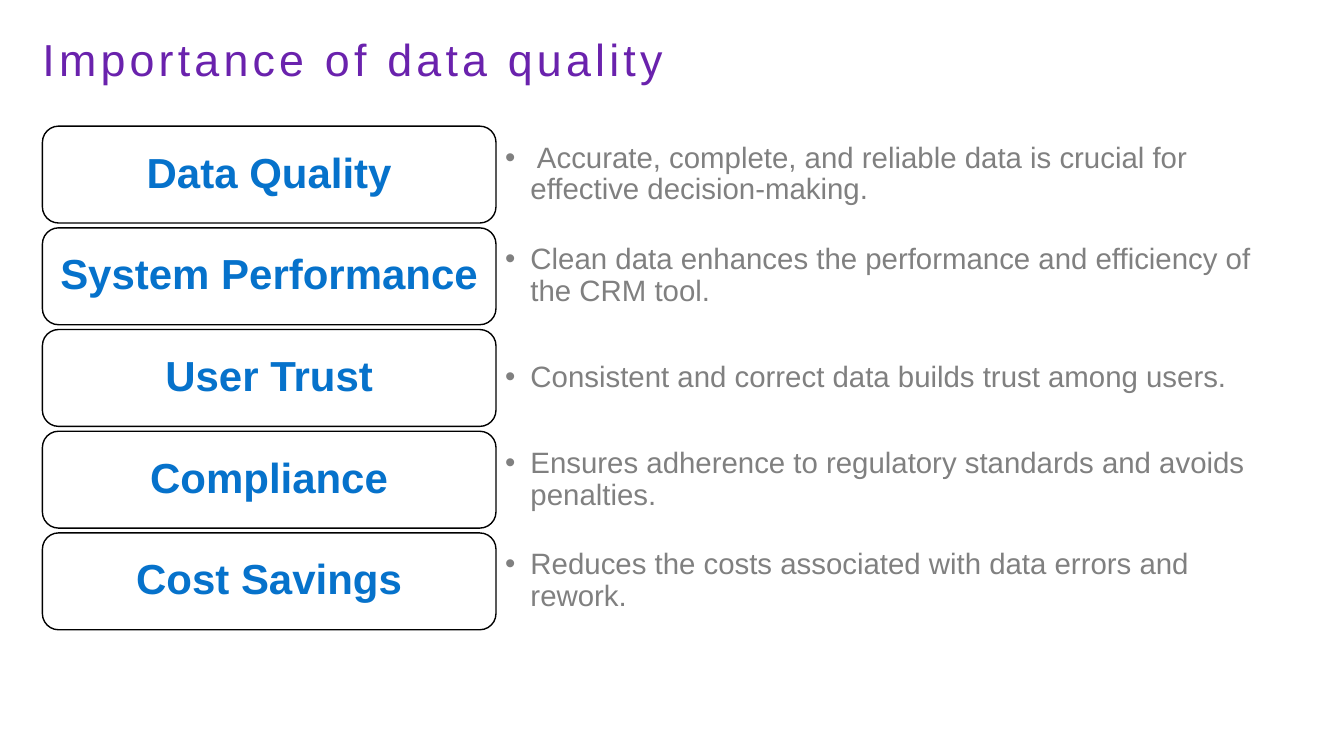
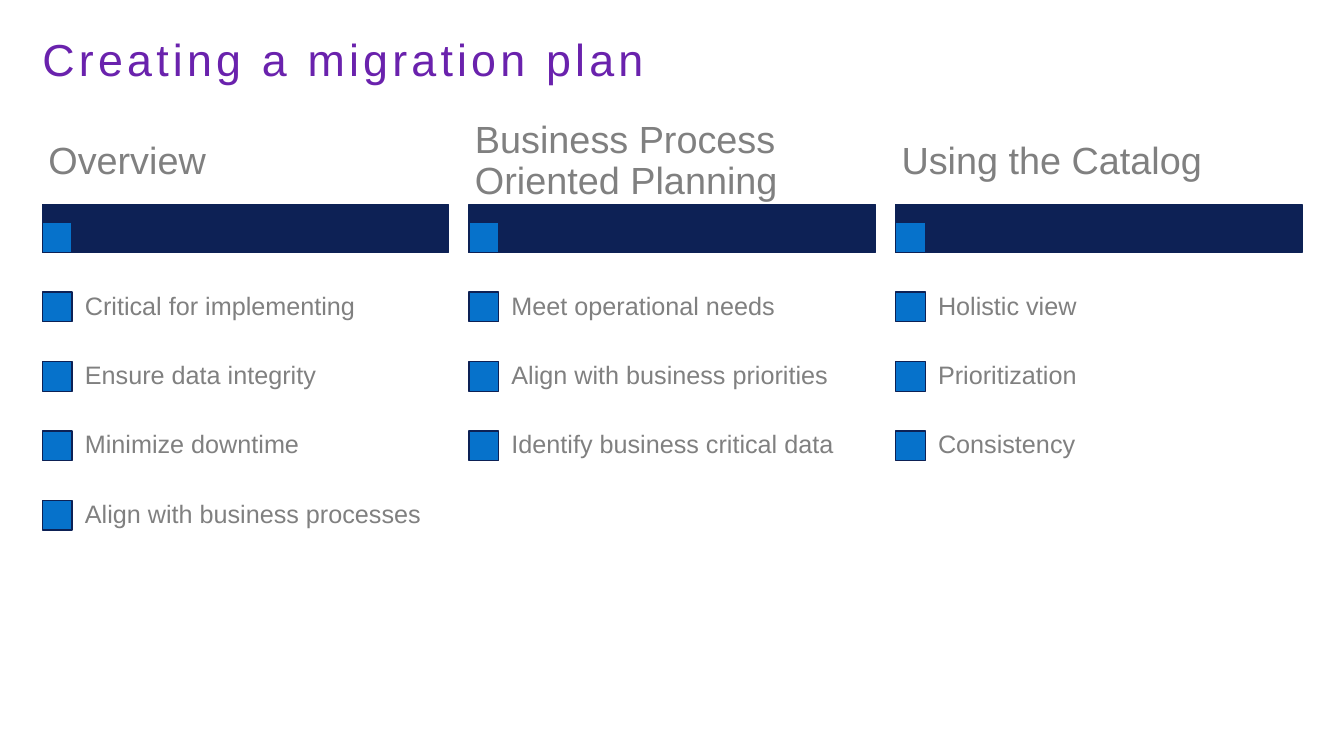
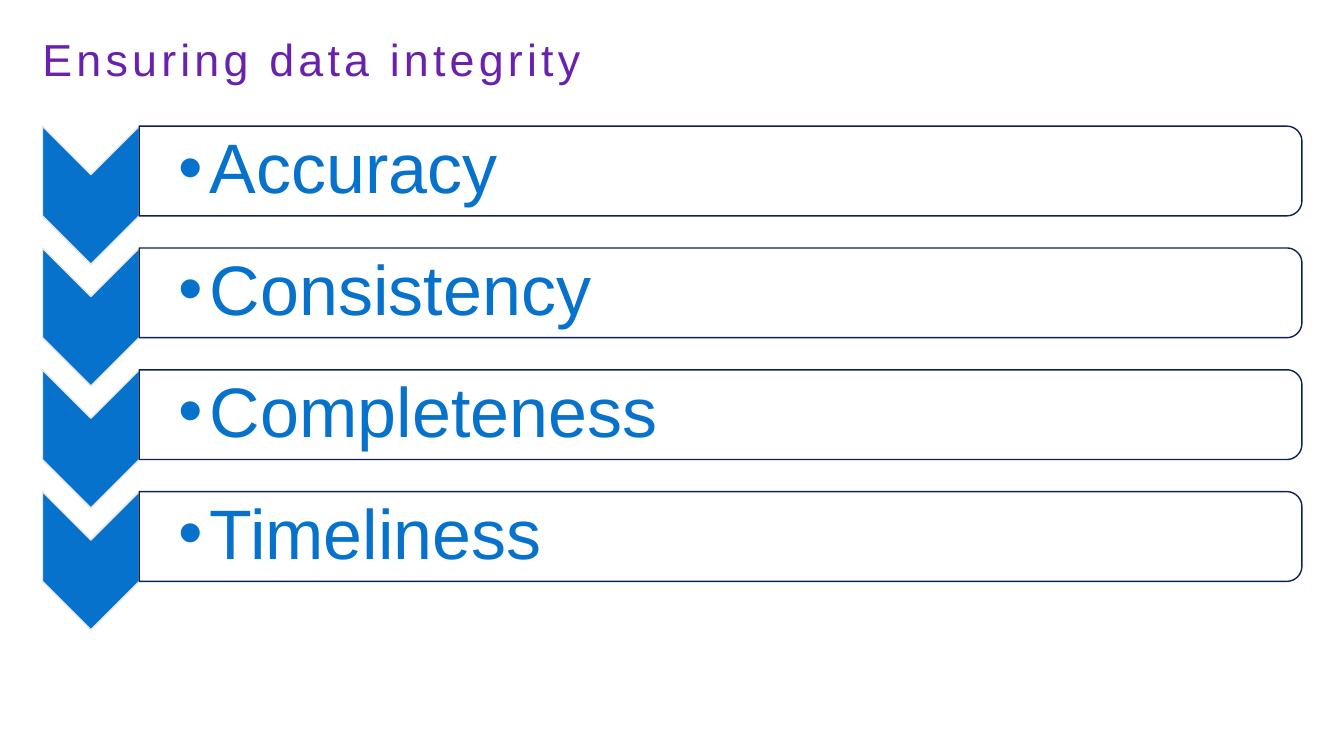
from dataclasses import dataclass
from math import cos, pi, sin

from lxml import etree
from pptx import Presentation
from pptx.dml.color import RGBColor
from pptx.enum.shapes import MSO_SHAPE
from pptx.enum.text import MSO_ANCHOR, PP_ALIGN
from pptx.oxml.ns import qn
from pptx.util import Cm, Pt

RECTANGLE = MSO_SHAPE.RECTANGLE
ROUNDED = MSO_SHAPE.ROUNDED_RECTANGLE
CHEVRON = MSO_SHAPE.CHEVRON
TOP, MIDDLE = MSO_ANCHOR.TOP, MSO_ANCHOR.MIDDLE
LEFT, CENTER = PP_ALIGN.LEFT, PP_ALIGN.CENTER

QUALITY_TITLE = "Importance of data quality"
QUALITY_REASONS = [
    ("Data Quality", " Accurate, complete, and reliable data is crucial for effective decision-making."),
    ("System Performance", "Clean data enhances the performance and efficiency of the CRM tool."),
    ("User Trust", "Consistent and correct data builds trust among users."),
    ("Compliance", "Ensures adherence to regulatory standards and avoids penalties."),
    ("Cost Savings", "Reduces the costs associated with data errors and rework."),
]

PLAN_TITLE = "Creating a migration plan"
PLAN_COLUMNS = [
    ("Overview", ["Critical for implementing", "Ensure data integrity",
                  "Minimize downtime", "Align with business processes"]),
    ("Business Process Oriented Planning", ["Meet operational needs", "Align with business priorities",
                                            "Identify business critical data"]),
    ("Using the Catalog", ["Holistic view", "Prioritization", "Consistency"]),
]

INTEGRITY_TITLE = "Ensuring data integrity"
INTEGRITY_GOALS = ["Accuracy", "Consistency", "Completeness", "Timeliness"]


@dataclass(frozen=True)
class Theme:
    font: str = "Arial"
    purple: str = "6A22AD"
    blue: str = "0672CB"
    navy: str = "0D2155"
    gray: str = "808080"
    pale: str = "E7E7E7"
    white: str = "FFFFFF"
    black: str = "000000"
    title_size: float = 32
    pill_size: float = 30
    detail_size: float = 21
    heading_size: float = 27
    item_size: float = 18
    goal_size: float = 50


THEME = Theme()
MARGIN, CONTENT_WIDTH = 1.07, 31.74
BODY_TOP, BODY_HEIGHT = 3.18, 12.69


def spread(start, length, size, count):
    pitch = (length - size) / (count - 1)
    return [start + index * pitch for index in range(count)]


def write(shape, text, *, size, color, bold=False, align=LEFT, anchor=MIDDLE,
          insets=(0, 0, 0, 0), bullet_indent=0, tracking=0):
    frame = shape.text_frame
    frame.word_wrap = True
    frame.vertical_anchor = anchor
    (frame.margin_left, frame.margin_top,
     frame.margin_right, frame.margin_bottom) = map(Cm, insets)
    para = frame.paragraphs[0]
    para.alignment = align
    para.line_spacing = 0.9
    if bullet_indent:
        properties = para._p.get_or_add_pPr()
        properties.set("marL", str(Cm(bullet_indent)))
        properties.set("indent", str(-Cm(bullet_indent)))
        etree.SubElement(properties, qn("a:buFont")).set("typeface", THEME.font)
        etree.SubElement(properties, qn("a:buChar")).set("char", "•")
    span = para.add_run()
    span.text = text
    span.font.name = THEME.font
    span.font.size = Pt(size)
    span.font.bold = bold
    span.font.color.rgb = RGBColor.from_string(color)
    if tracking:
        span._r.get_or_add_rPr().set("spc", str(tracking * 100))


def add_label(slide, area, text, **style):
    label = slide.shapes.add_shape(RECTANGLE, *map(Cm, area))
    label.shadow.inherit = False
    label.fill.background()
    label.line.fill.background()
    write(label, text, **style)


def paint(shape, fill, line):
    shape.shadow.inherit = False
    shape.fill.solid()
    shape.fill.fore_color.rgb = RGBColor.from_string(fill)
    shape.line.color.rgb = RGBColor.from_string(line)
    shape.line.width = Pt(1)
    return shape


def add_block(slide, kind, area, fill, line):
    return paint(slide.shapes.add_shape(kind, *map(Cm, area)), fill, line)


def add_right_rounded(slide, area, radius, fill, line):
    left, top, width, height = area
    right, bottom = left + width, top + height
    steps = 12
    points = [(left, top)]
    for center_y, start in ((top + radius, -pi / 2), (bottom - radius, 0)):
        for step in range(steps + 1):
            angle = start + step * pi / 2 / steps
            points.append((right - radius + radius * cos(angle), center_y + radius * sin(angle)))
    points.append((left, bottom))
    corners = [(Cm(x), Cm(y)) for x, y in points]
    builder = slide.shapes.build_freeform(*corners[0])
    builder.add_line_segments(corners[1:], close=True)
    return paint(builder.convert_to_shape(), fill, line)


def add_titled_slide(deck, title):
    slide = deck.slides.add_slide(deck.slide_layouts[6])
    box = slide.shapes.add_textbox(*map(Cm, (MARGIN, 0.95, CONTENT_WIDTH, 1.22)))
    write(box, title, size=THEME.title_size, color=THEME.purple, anchor=TOP, tracking=3)
    return slide


def build_quality(deck):
    slide = add_titled_slide(deck, QUALITY_TITLE)
    pill_width, pill_height, detail_height = 11.43, 2.44, 1.95
    tops = spread(BODY_TOP, BODY_HEIGHT, pill_height, len(QUALITY_REASONS))
    for top, (name, detail) in zip(tops, QUALITY_REASONS):
        detail_top = top + (pill_height - detail_height) / 2
        panel = add_right_rounded(
            slide, (MARGIN + pill_width, detail_top, CONTENT_WIDTH - pill_width, detail_height),
            0.33, THEME.white, THEME.white)
        write(panel, detail, size=THEME.detail_size, color=THEME.gray,
              insets=(0.23, 0.2, 0.33, 0.2), bullet_indent=0.64)
        pill = add_block(slide, ROUNDED, (MARGIN, top, pill_width, pill_height),
                         THEME.white, THEME.black)
        write(pill, name, size=THEME.pill_size, color=THEME.blue, bold=True, align=CENTER,
              insets=(0.28, 0.15, 0.28, 0.15))


def build_plan(deck):
    slide = add_titled_slide(deck, PLAN_TITLE)
    column_width, marker = 10.24, 0.75
    bar_top, bar_height = 5.16, 1.2
    row_top, row_height, label_shift = 6.86, 1.75, 0.71
    lefts = spread(MARGIN, CONTENT_WIDTH, column_width, len(PLAN_COLUMNS))
    for left, (heading, items) in zip(lefts, PLAN_COLUMNS):
        add_block(slide, RECTANGLE, (left, bar_top, column_width, bar_height), THEME.navy, THEME.navy)
        add_block(slide, RECTANGLE, (left, bar_top + bar_height - marker, marker, marker),
                  THEME.blue, THEME.navy)
        add_label(slide, (left, 3, column_width, 2.16), heading, size=THEME.heading_size,
                  color=THEME.gray, insets=(0.15, 0.1, 0.15, 0.1))
        for row, item in enumerate(items):
            top = row_top + row * row_height
            add_block(slide, RECTANGLE, (left, top + (row_height - marker) / 2, marker, marker),
                      THEME.blue, THEME.navy)
            add_label(slide, (left + label_shift, top, column_width - label_shift, row_height), item,
                      size=THEME.item_size, color=THEME.gray, insets=(0.36, 0.36, 0.36, 0.36))


def build_integrity(deck):
    slide = add_titled_slide(deck, INTEGRITY_TITLE)
    arrow_width, arrow_height, panel_height = 2.44, 3.48, 2.26
    tops = spread(BODY_TOP, BODY_HEIGHT, arrow_height, len(INTEGRITY_GOALS))
    turn_shift = (arrow_height - arrow_width) / 2
    for top, goal in zip(tops, INTEGRITY_GOALS):
        arrow = add_block(slide, CHEVRON,
                          (MARGIN - turn_shift, top + turn_shift, arrow_height, arrow_width),
                          THEME.blue, THEME.pale)
        arrow.rotation = 90
        panel = add_right_rounded(
            slide, (MARGIN + arrow_width, top, CONTENT_WIDTH - arrow_width, panel_height),
            0.38, THEME.white, THEME.navy)
        write(panel, goal, size=THEME.goal_size, color=THEME.blue,
              insets=(0.99, 0.2, 0.2, 0.2), bullet_indent=0.79)


def main():
    deck = Presentation()
    deck.slide_width, deck.slide_height = Cm(33.87), Cm(19.05)
    build_quality(deck)
    build_plan(deck)
    build_integrity(deck)
    deck.save("out.pptx")


if __name__ == "__main__":
    main()
